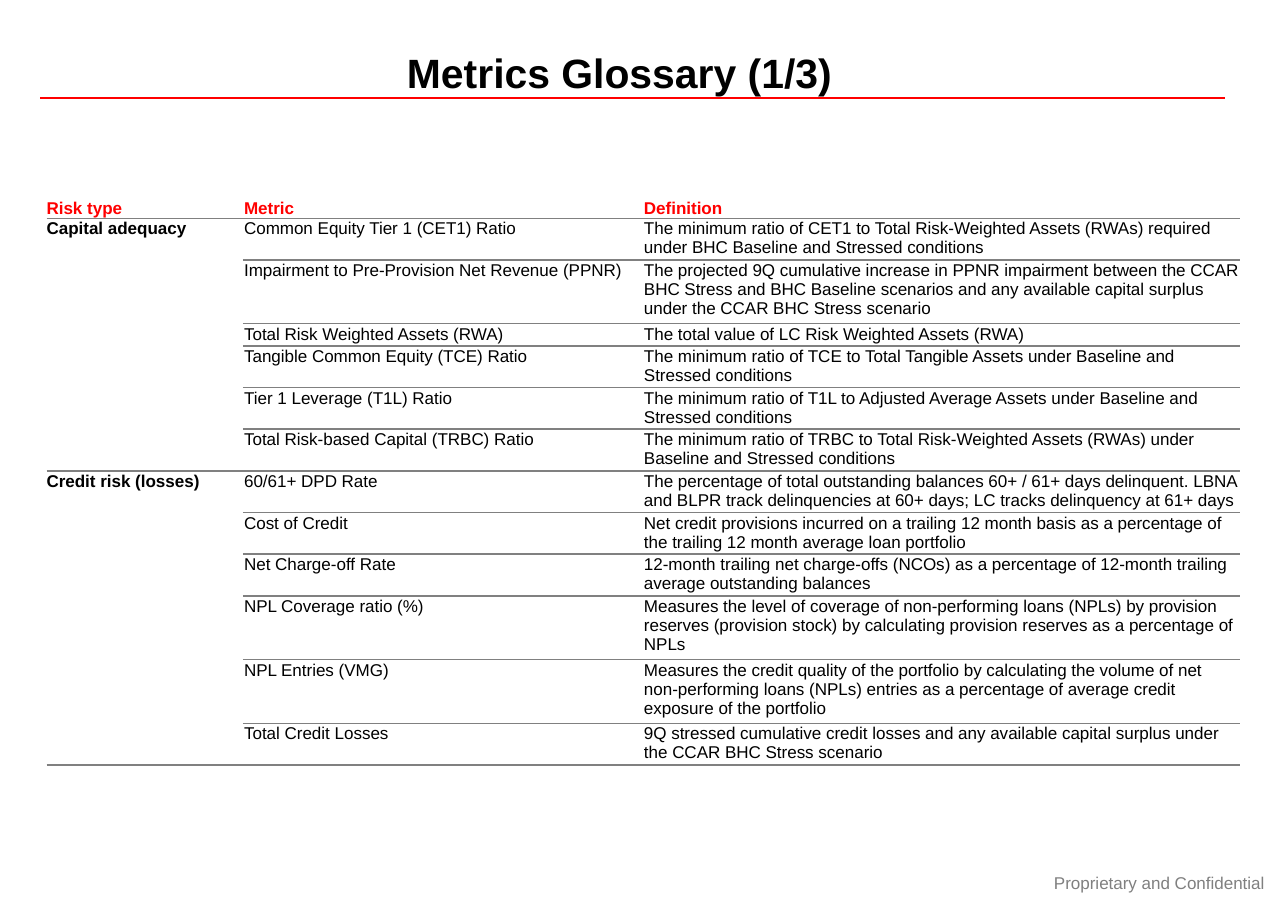
from dataclasses import dataclass

from lxml import etree
from pptx import Presentation
from pptx.dml.color import RGBColor
from pptx.enum.shapes import MSO_CONNECTOR
from pptx.enum.text import MSO_ANCHOR, MSO_AUTO_SIZE, PP_ALIGN
from pptx.oxml.ns import qn
from pptx.slide import Slide
from pptx.table import _Cell
from pptx.text.text import TextFrame
from pptx.util import Inches, Pt

STRAIGHT = MSO_CONNECTOR.STRAIGHT
TOP, MIDDLE = MSO_ANCHOR.TOP, MSO_ANCHOR.MIDDLE
CENTER = PP_ALIGN.CENTER
NO_AUTOFIT = MSO_AUTO_SIZE.NONE
PLAIN_TABLE_STYLE = "{2D5ABB26-0587-4C30-8999-92F81FD0307C}"


@dataclass(frozen=True)
class Theme:
    font: str = "Arial"
    ink: str = "000000"
    accent: str = "FF0000"
    grey: str = "808080"
    title_size: int = 24
    text_size: int = 10
    line_width: int = 1


@dataclass(frozen=True)
class Metric:
    name: str
    definition: str
    lines: int = 2


@dataclass(frozen=True)
class RiskType:
    name: str
    metrics: tuple[Metric, ...]


THEME = Theme()
HEADINGS = ("Risk type", "Metric", "Definition")
COLUMN_WIDTHS = (1.6, 3.26, 4.87)
HEADER_HEIGHT = 0.17
HEIGHT_BY_LINES = {1: 0.18, 2: 0.34, 3: 0.52}

GLOSSARY = (
    RiskType("Capital adequacy", (
        Metric("Common Equity Tier 1 (CET1) Ratio",
               "The minimum ratio of CET1 to Total Risk-Weighted Assets (RWAs) required "
               "under BHC Baseline and Stressed conditions"),
        Metric("Impairment to Pre-Provision Net Revenue (PPNR)",
               "The projected 9Q cumulative increase in PPNR impairment between the CCAR "
               "BHC Stress and BHC Baseline scenarios and any available capital surplus "
               "under the CCAR BHC Stress scenario", 3),
        Metric("Total Risk Weighted Assets (RWA)",
               "The total value of LC Risk Weighted Assets (RWA)", 1),
        Metric("Tangible Common Equity (TCE) Ratio",
               "The minimum ratio of TCE to Total Tangible Assets under Baseline and "
               "Stressed conditions"),
        Metric("Tier 1 Leverage (T1L) Ratio",
               "The minimum ratio of T1L to Adjusted Average Assets under Baseline and "
               "Stressed conditions"),
        Metric("Total Risk-based Capital (TRBC) Ratio",
               "The minimum ratio of TRBC to Total Risk-Weighted Assets (RWAs) under "
               "Baseline and Stressed conditions"),
    )),
    RiskType("Credit risk (losses)", (
        Metric("60/61+ DPD Rate",
               "The percentage of total outstanding balances 60+ / 61+ days delinquent. LBNA "
               "and BLPR track delinquencies at 60+ days; LC tracks delinquency at 61+ days"),
        Metric("Cost of Credit",
               "Net credit provisions incurred on a trailing 12 month basis as a percentage of "
               "the trailing 12 month average loan portfolio"),
        Metric("Net Charge-off Rate",
               "12-month trailing net charge-offs (NCOs) as a percentage of 12-month trailing "
               "average outstanding balances"),
        Metric("NPL Coverage ratio (%)",
               "Measures the level of coverage of non-performing loans (NPLs) by provision "
               "reserves (provision stock) by calculating provision reserves as a percentage of "
               "NPLs", 3),
        Metric("NPL Entries (VMG)",
               "Measures the credit quality of the portfolio by calculating the volume of net "
               "non-performing loans (NPLs) entries as a percentage of average credit "
               "exposure of the portfolio", 3),
        Metric("Total Credit Losses",
               "9Q stressed cumulative credit losses and any available capital surplus under "
               "the CCAR BHC Stress scenario"),
    )),
)


def write(frame: TextFrame, text: str, size: int, color: str, bold: bool = False,
          spacing: float = 1.0) -> None:
    frame.text = text
    paragraph = frame.paragraphs[0]
    paragraph.line_spacing = spacing
    font = paragraph.runs[0].font
    font.name, font.size, font.bold = THEME.font, Pt(size), bold
    font.color.rgb = RGBColor.from_string(color)


def underline_cell(cell: _Cell) -> None:
    border = etree.Element(qn("a:lnB"), w=str(Pt(THEME.line_width)))
    fill = etree.SubElement(border, qn("a:solidFill"))
    etree.SubElement(fill, qn("a:srgbClr"), val=THEME.grey)
    cell._tc.get_or_add_tcPr().insert(0, border)


def fill_cell(cell: _Cell, text: str, left: float = 0.01, color: str = THEME.ink,
              bold: bool = False, anchor: MSO_ANCHOR = TOP) -> None:
    write(cell.text_frame, text, THEME.text_size, color, bold)
    cell.margin_left = Inches(left)
    cell.margin_top = cell.margin_right = Inches(0.01)
    cell.margin_bottom = 0
    cell.vertical_anchor = anchor
    cell.fill.background()
    underline_cell(cell)


def add_title(slide: Slide) -> None:
    title = slide.shapes.title
    title.left, title.top = Inches(0.31), Inches(0.38)
    title.width, title.height = Inches(9.48), Inches(0.48)
    frame = title.text_frame
    frame.auto_size, frame.vertical_anchor = NO_AUTOFIT, TOP
    write(frame, "Metrics Glossary (1/3)", THEME.title_size, THEME.ink, True, 0.9)
    frame.paragraphs[0].alignment = CENTER


def add_title_rule(slide: Slide) -> None:
    rule = slide.shapes.add_connector(
        STRAIGHT, Inches(0.33), Inches(0.8), Inches(9.99), Inches(0.8))
    rule.line.color.rgb = RGBColor.from_string(THEME.accent)
    rule.line.width = Pt(THEME.line_width)
    etree.SubElement(rule._element.spPr, qn("a:effectLst"))


def add_glossary(slide: Slide) -> None:
    metrics = [metric for risk in GLOSSARY for metric in risk.metrics]
    heights = [HEADER_HEIGHT] + [HEIGHT_BY_LINES[metric.lines] for metric in metrics]
    frame = slide.shapes.add_table(
        len(heights), len(HEADINGS), Inches(0.38), Inches(1.61),
        Inches(sum(COLUMN_WIDTHS)), Inches(sum(heights)))
    table = frame.table
    table.first_row = table.horz_banding = False
    table._tbl.tblPr.find(qn("a:tableStyleId")).text = PLAIN_TABLE_STYLE
    for column, width in zip(table.columns, COLUMN_WIDTHS):
        column.width = Inches(width)
    for row, height in zip(table.rows, heights):
        row.height = Inches(height)

    # Headings
    for index, heading in enumerate(HEADINGS):
        fill_cell(table.cell(0, index), heading, 0.01 if index else 0,
                  THEME.accent, True, MIDDLE)

    # Metrics and definitions
    for index, metric in enumerate(metrics, start=1):
        fill_cell(table.cell(index, 1), metric.name)
        fill_cell(table.cell(index, 2), metric.definition)

    # Risk types, each spanning its metrics
    first = 1
    for risk in GLOSSARY:
        last = first + len(risk.metrics) - 1
        risk_cell, last_cell = table.cell(first, 0), table.cell(last, 0)
        risk_cell.merge(last_cell)
        fill_cell(risk_cell, risk.name, left=0, bold=True)
        underline_cell(last_cell)
        first = last + 1


def add_footer(slide: Slide) -> None:
    footer = slide.shapes.add_textbox(Inches(8.4), Inches(7), Inches(2.1), Inches(0.4))
    frame = footer.text_frame
    frame.word_wrap, frame.vertical_anchor = True, MIDDLE
    write(frame, "Proprietary and Confidential", THEME.text_size, THEME.grey)
    frame.paragraphs[0].alignment = CENTER


def main() -> None:
    deck = Presentation()
    deck.slide_width, deck.slide_height = Inches(10.5), Inches(7.5)
    slide = deck.slides.add_slide(deck.slide_layouts.get_by_name("Title Only"))
    add_title_rule(slide)
    add_glossary(slide)
    add_title(slide)
    add_footer(slide)
    deck.save("out.pptx")


if __name__ == "__main__":
    main()
